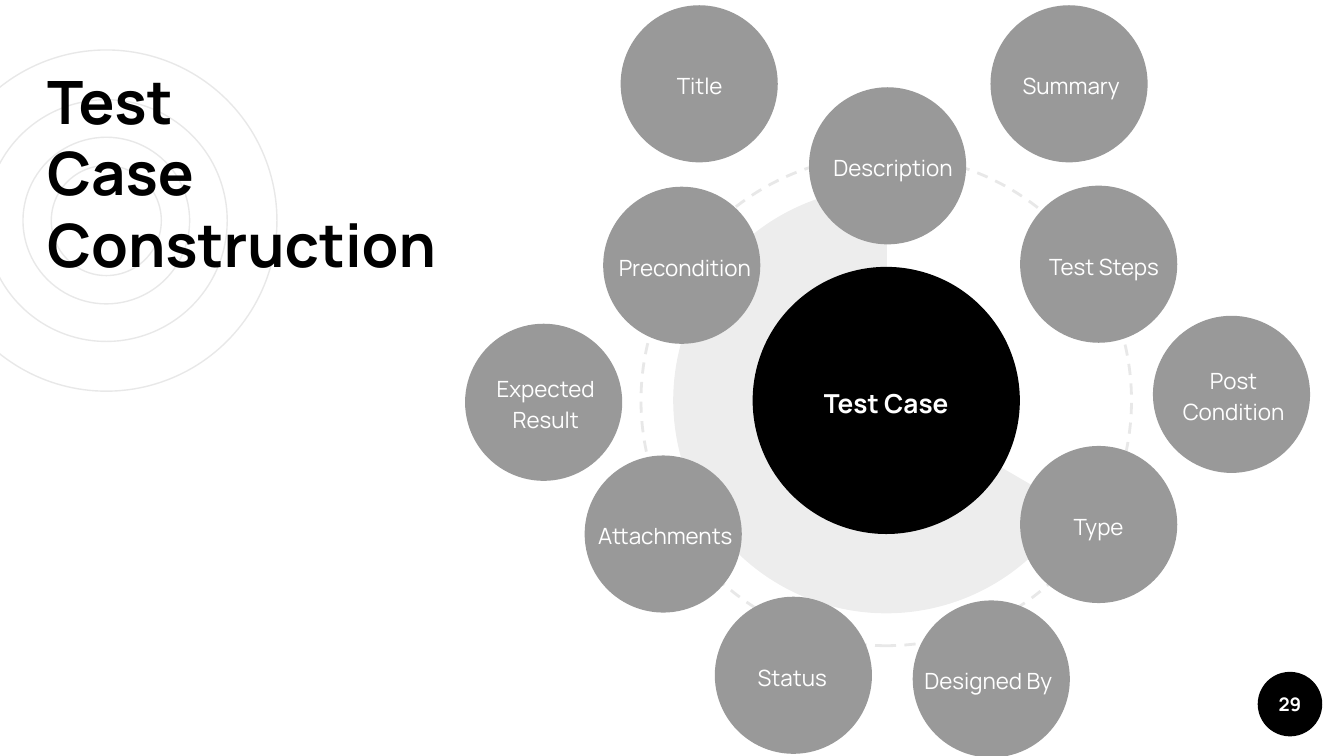
import pptx
import pptx.util
import pptx.dml.color
import pptx.enum.dml
import pptx.enum.shapes
import pptx.enum.text
import pptx.oxml.ns
import lxml.etree

Cm = pptx.util.Cm
Pt = pptx.util.Pt
RGBColor = pptx.dml.color.RGBColor
Shape = pptx.enum.shapes.MSO_SHAPE
Align = pptx.enum.text.PP_ALIGN
Anchor = pptx.enum.text.MSO_ANCHOR

BLACK = RGBColor(0x00, 0x00, 0x00)
WHITE = RGBColor(0xFF, 0xFF, 0xFF)
GREY = RGBColor(0x99, 0x99, 0x99)
PALE = RGBColor(0xE8, 0xE8, 0xE8)
FONT = "Manrope"

BUBBLE_SIZE = 2.97
LABEL_HEIGHT = 2.03
# label, bubble left, bubble top, label offset from bubble left, label width
BUBBLES = [
    ("Description", 15.29, 1.65, -0.2, 3.58),
    ("Type", 19.28, 8.43, 0.43, 2.11),
    ("Test Steps", 19.28, 3.51, 0.2, 2.77),
    ("Precondition", 11.4, 3.53, -0.07, 3.23),
    ("Post Condition", 21.79, 5.97, 0.05, 2.95),
    ("Expected Result", 8.79, 6.12, -0.28, 3.61),
    ("Summary", 18.72, 0.1, -0.05, 3.15),
    ("Designed By", 17.25, 11.35, -0.08, 3.02),
    ("Status", 13.51, 11.28, 0.41, 2.11),
    ("Title", 11.73, 0.1, 0.44, 2.11),
    ("Attachments", 11.05, 8.61, -0.28, 3.61),
]


def add_text(shapes, text, left, top, width, height, *, size, color=WHITE,
             bold=False, align=Align.CENTER, anchor=Anchor.MIDDLE, spacing=None):
    """Add a wrapped text box; each newline becomes a line break."""
    box = shapes.add_textbox(Cm(left), Cm(top), Cm(width), Cm(height))
    frame = box.text_frame
    frame.word_wrap = True
    frame.vertical_anchor = anchor
    frame.margin_left = frame.margin_right = Cm(0.25)
    frame.margin_top = frame.margin_bottom = Cm(0.25)
    para = frame.paragraphs[0]
    para.alignment = align
    para.line_spacing = spacing
    for index, line in enumerate(text.split("\n")):
        if index:
            para.add_line_break()
        span = para.add_run()
        span.text = line
        span.font.name = FONT
        span.font.size = Pt(size)
        span.font.bold = bold
        span.font.color.rgb = color


def add_round(shapes, left, top, size, *, fill=None, line=None, weight=0.75,
              kind=Shape.OVAL):
    """Add a circular shape in a square box."""
    shape = shapes.add_shape(kind, Cm(left), Cm(top), Cm(size), Cm(size))
    shape.shadow.inherit = False
    if fill is None:
        shape.fill.background()
    else:
        shape.fill.solid()
        shape.fill.fore_color.rgb = fill
    if line is None:
        shape.line.fill.background()
    else:
        shape.line.color.rgb = line
        shape.line.width = Pt(weight)
    return shape


def set_opacity(shape, percent):
    color = shape.fill.fore_color._xFill.find(pptx.oxml.ns.qn("a:srgbClr"))
    alpha = lxml.etree.SubElement(color, pptx.oxml.ns.qn("a:alpha"))
    alpha.set("val", str(percent * 1000))


def add_rings(shapes, center_x, center_y):
    for size in (6.45, 3.15, 4.57, 2.08):
        add_round(shapes, center_x - size / 2, center_y - size / 2, size, line=PALE)


def add_hub(shapes, center_x, center_y):
    """Add the dashed orbit, the pale sector and the central disc."""
    def centered(size, **look):
        return add_round(shapes, center_x - size / 2, center_y - size / 2, size, **look)

    orbit = centered(9.27, line=PALE, weight=1.5)
    orbit.line.dash_style = pptx.enum.dml.MSO_LINE.DASH
    orbit.rotation = 270
    sector = centered(8.05, fill=BLACK, kind=Shape.PIE)
    sector.adjustments[0] = 18.12
    sector.adjustments[1] = 162.15
    set_opacity(sector, 7)
    centered(5.05, fill=BLACK)
    width, height = 3.73, 2.29
    add_text(shapes, "Test Case", center_x - width / 2, center_y - height / 2,
             width, height, size=14, bold=True, spacing=1.15)


def add_bubble(shapes, label, left, top, offset, width):
    group = shapes.add_group_shape()
    add_round(group.shapes, left, top, BUBBLE_SIZE, fill=GREY)
    add_text(group.shapes, label, left + offset, top + (BUBBLE_SIZE - LABEL_HEIGHT) / 2,
             width, LABEL_HEIGHT, size=12, spacing=1.15)


def add_page_number(shapes, number, left, top, size):
    add_round(shapes, left, top, size, fill=BLACK)
    add_text(shapes, number, left, top, size, size, size=10, bold=True)


def main():
    deck = pptx.Presentation()
    deck.slide_width = Cm(25.4)
    deck.slide_height = Cm(14.29)
    page = deck.slides.add_slide(deck.slide_layouts[6])
    shapes = page.shapes
    add_rings(shapes, 2.01, 4.17)
    add_text(shapes, "Test\nCase\nConstruction", 0.64, 0.97, 18.64, 6.86, size=32,
             color=BLACK, bold=True, align=Align.LEFT, anchor=Anchor.TOP)
    add_page_number(shapes, "29", 23.77, 12.7, 1.22)
    add_hub(shapes, 16.75, 7.57)
    for bubble in BUBBLES:
        add_bubble(shapes, *bubble)
    deck.save("out.pptx")


if __name__ == "__main__":
    main()
